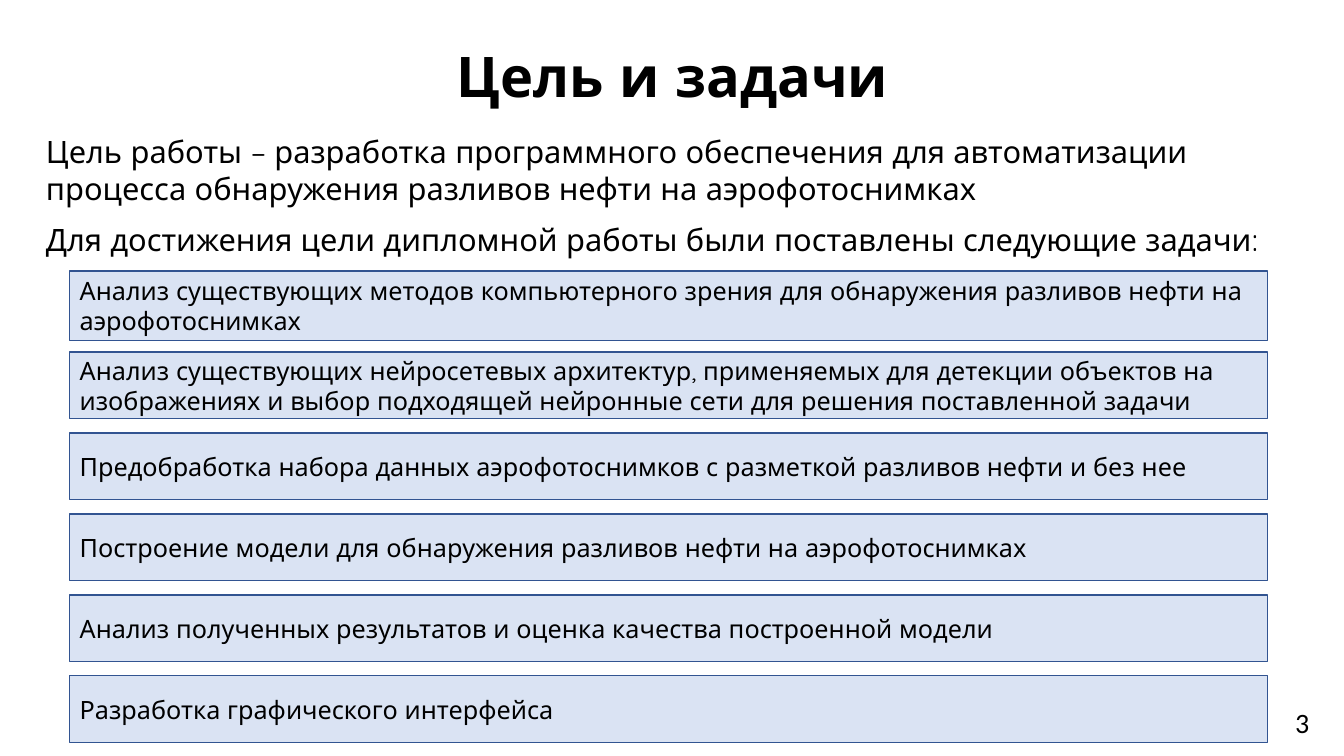
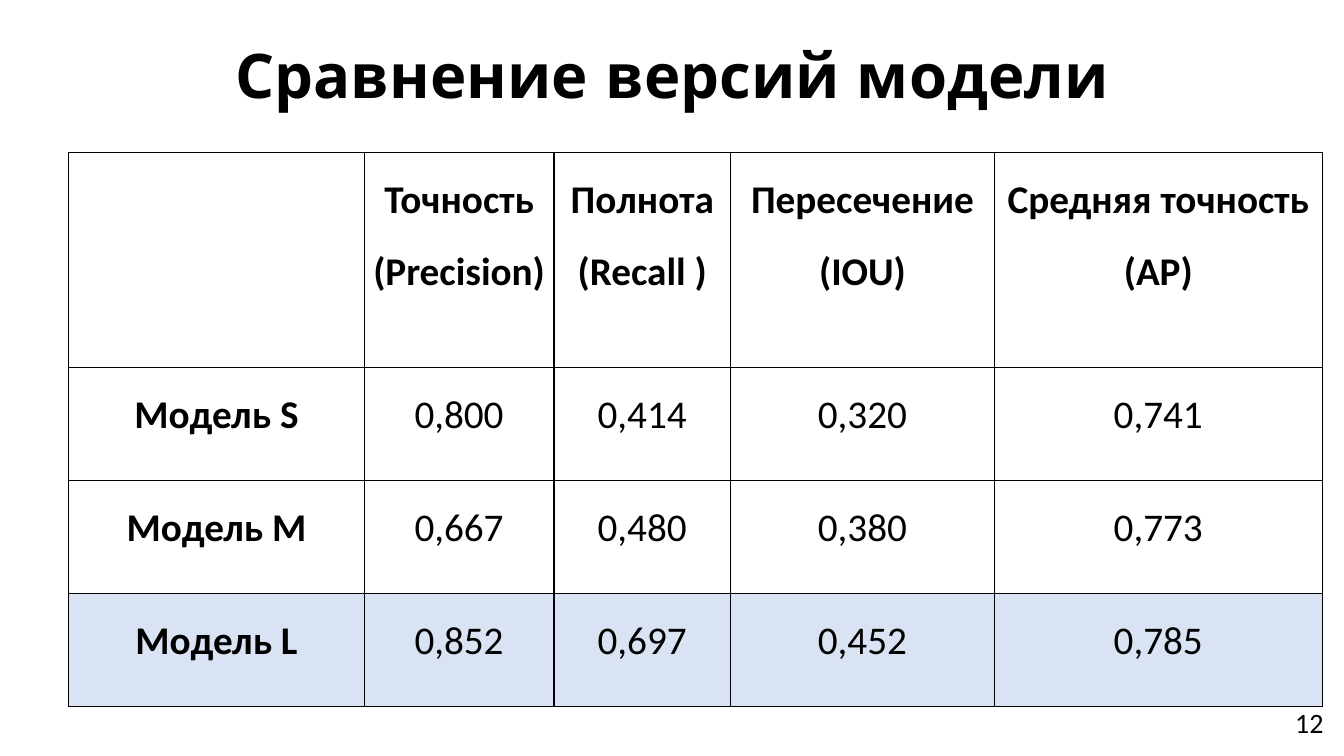
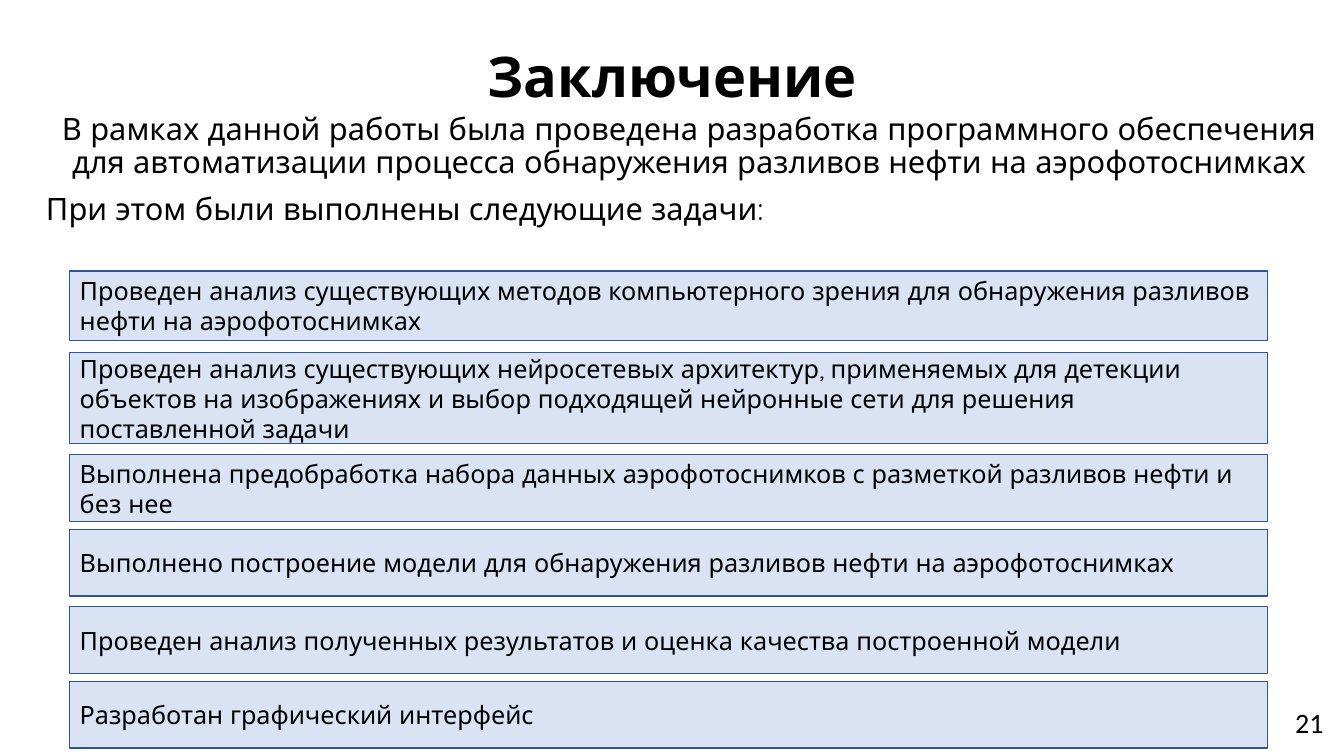
from lxml import etree
from pptx import Presentation
from pptx.dml.color import RGBColor
from pptx.enum import shapes, text
from pptx.oxml import ns
from pptx.util import Cm, Pt

BLACK = RGBColor(0, 0, 0)
WHITE = RGBColor(0xFF, 0xFF, 0xFF)
PALE = RGBColor(0xDA, 0xE3, 0xF3)
BLUE = RGBColor(0x32, 0x54, 0x91)
HEAD = "Quicksand"
PLAIN = "Calibri"
LEFT, MID = text.PP_ALIGN.LEFT, text.PP_ALIGN.CENTER
TOP, CENTRE = text.MSO_ANCHOR.TOP, text.MSO_ANCHOR.MIDDLE

GOAL = [
    ("Цель работы – разработка программного обеспечения для автоматизации "
     "процесса обнаружения разливов нефти на аэрофотоснимках", LEFT),
    ("Для достижения цели дипломной работы были поставлены следующие задачи:",
     LEFT),
]
TASKS = [
    "Анализ существующих методов компьютерного зрения для обнаружения "
    "разливов нефти на аэрофотоснимках",
    "Анализ существующих нейросетевых архитектур, применяемых для детекции "
    "объектов на изображениях и выбор подходящей нейронные сети для решения "
    "поставленной задачи",
    "Предобработка набора данных аэрофотоснимков с разметкой разливов нефти "
    "и без нее",
    "Построение модели для обнаружения разливов нефти на аэрофотоснимках",
    "Анализ полученных результатов и оценка качества построенной модели",
    "Разработка графического интерфейса",
]
SUMMARY = [
    ("В рамках данной работы была проведена разработка программного "
     "обеспечения для автоматизации процесса обнаружения разливов нефти на "
     "аэрофотоснимках", MID),
    ("При этом были выполнены следующие задачи:", LEFT),
]
DONE = [
    "Проведен анализ существующих методов компьютерного зрения для "
    "обнаружения разливов нефти на аэрофотоснимках",
    "Проведен анализ существующих нейросетевых архитектур, применяемых для "
    "детекции объектов на изображениях и выбор подходящей нейронные сети для "
    "решения поставленной задачи",
    "Выполнена предобработка набора данных аэрофотоснимков с разметкой "
    "разливов нефти и без нее",
    "Выполнено построение модели для обнаружения разливов нефти на "
    "аэрофотоснимках",
    "Проведен анализ полученных результатов и оценка качества построенной "
    "модели",
    "Разработан графический интерфейс",
]
SCORES = [
    ["", "Точность (Precision)", "Полнота (Recall )", "Пересечение (IOU)",
     "Средняя точность (AP)"],
    ["Модель S", "0,800", "0,414", "0,320", "0,741"],
    ["Модель M", "0,667", "0,480", "0,380", "0,773"],
    ["Модель L", "0,852", "0,697", "0,452", "0,785"],
]


def write(para, words, size, font=HEAD, bold=False, align=LEFT, lead=1.0):
    """Add one styled run to a paragraph."""
    para.alignment = align
    para.line_spacing = lead
    run = para.add_run()
    run.text = words
    run.font.name = font
    run.font.size = Pt(size)
    run.font.bold = bold
    run.font.color.rgb = BLACK


def frame(slide, box, anchor=TOP):
    """Place a wrapping text box and return its text frame."""
    tf = slide.shapes.add_textbox(*map(Cm, box)).text_frame
    tf.word_wrap = True
    tf.vertical_anchor = anchor
    return tf


def base(deck, title, number, size=40):
    """Start a slide with its title and page number."""
    slide = deck.slides.add_slide(deck.slide_layouts[6])
    tf = frame(slide, (2.34, 0.15, 29.21, 3.68), CENTRE)
    write(tf.paragraphs[0], title, size, bold=True, align=MID, lead=0.9)
    tf = frame(slide, (32.39, 17.65, 1.48, 1.12))
    write(tf.paragraphs[0], number, 20, PLAIN)
    return slide


def intro(slide, box, items, lead):
    """Write the opening paragraphs."""
    tf = frame(slide, box)
    for i, (words, align) in enumerate(items):
        para = tf.add_paragraph() if i else tf.paragraphs[0]
        if i:
            para.space_before = Pt(10)
        write(para, words, 22, align=align, lead=lead)


def bar(slide, box, words):
    """Draw one task bar."""
    shape = slide.shapes.add_shape(shapes.MSO_SHAPE.RECTANGLE, *map(Cm, box))
    shape.shadow.inherit = False
    shape.fill.solid()
    shape.fill.fore_color.rgb = PALE
    shape.line.color.rgb = BLUE
    shape.line.width = Pt(1)
    tf = shape.text_frame
    tf.word_wrap = True
    tf.vertical_anchor = CENTRE
    write(tf.paragraphs[0], words, 18)


def bars(slide, left, width, tops, highs, items):
    """Stack the task bars."""
    for top, high, words in zip(tops, highs, items):
        bar(slide, (left, top, width, high), words)


def edge(cell):
    """Give a cell thin black borders."""
    props = cell._tc.get_or_add_tcPr()
    for side in ("lnL", "lnR", "lnT", "lnB"):
        line = etree.SubElement(props, ns.qn("a:" + side), w=str(Pt(1)))
        fill = etree.SubElement(line, ns.qn("a:solidFill"))
        etree.SubElement(fill, ns.qn("a:srgbClr"), val=str(BLACK))


def grid(slide, left, top, cols, rows, data):
    """Draw the score table, with the last row tinted."""
    table = slide.shapes.add_table(
        len(rows), len(cols), Cm(left), Cm(top),
        Cm(sum(cols)), Cm(sum(rows))).table
    table.first_row = table.horz_banding = False
    for col, width in zip(table.columns, cols):
        col.width = Cm(width)
    for row, high in zip(table.rows, rows):
        row.height = Cm(high)
    for r, line in enumerate(data):
        for c, words in enumerate(line):
            cell = table.cell(r, c)
            cell.margin_left = cell.margin_right = Cm(0.18)
            cell.margin_top = cell.margin_bottom = Cm(0)
            edge(cell)
            cell.fill.solid()
            cell.fill.fore_color.rgb = PALE if r == len(data) - 1 else WHITE
            if words:
                write(cell.text_frame.paragraphs[0], words, 28, PLAIN,
                      bold=r == 0 or c == 0, align=MID, lead=1.5)


def main():
    deck = Presentation()
    deck.slide_width, deck.slide_height = Cm(33.87), Cm(19.05)

    # Goal and tasks
    slide = base(deck, "Цель и задачи", "3")
    intro(slide, (0.91, 3.23, 32.94, 7.32), GOAL, 1.0)
    tops = [6.83 + 2.04 * i for i in range(len(TASKS))]
    bars(slide, 1.76, 30.18, tops, [1.75] + [1.68] * 5, TASKS)

    # Model scores
    slide = base(deck, "Сравнение версий модели", "12", 44)
    grid(slide, 1.73, 3.84, [7.45, 4.78, 4.45, 6.65, 8.26],
         [5.42] + [2.85] * 3, SCORES)

    # Conclusion
    slide = base(deck, "Заключение", "21")
    intro(slide, (0.91, 2.74, 32.94, 7.32), SUMMARY, 0.9)
    tops = [6.83, 8.89, 11.46, 13.34, 15.29, 17.17]
    bars(slide, 1.76, 30.18, tops, [1.75, 2.29] + [1.68] * 4, DONE)

    deck.save("out.pptx")


if __name__ == "__main__":
    main()
